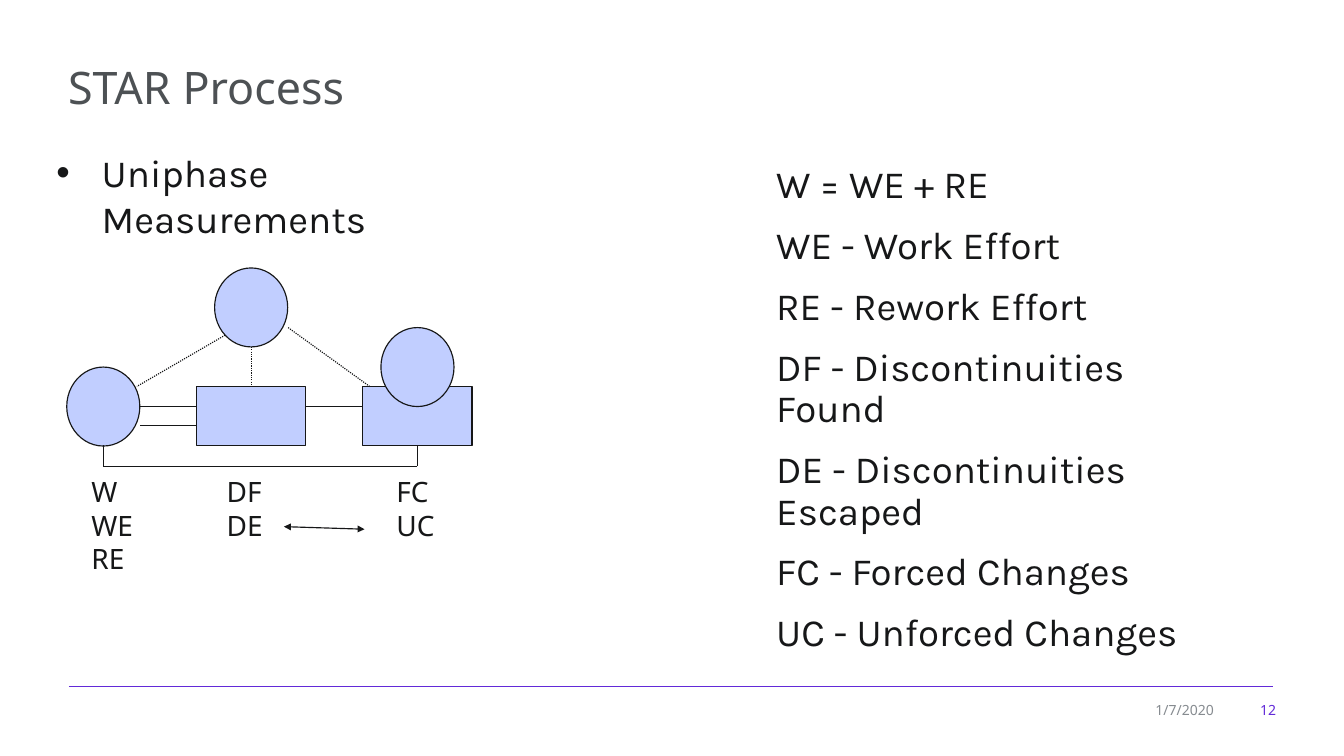
from dataclasses import dataclass

from lxml import etree
from pptx import Presentation
from pptx.dml.color import RGBColor
from pptx.enum.dml import MSO_LINE
from pptx.enum.shapes import MSO_CONNECTOR, MSO_SHAPE
from pptx.enum.text import MSO_ANCHOR, MSO_AUTO_SIZE, PP_ALIGN
from pptx.oxml.ns import qn
from pptx.util import Inches, Pt

STRAIGHT = MSO_CONNECTOR.STRAIGHT
OVAL, RECT = MSO_SHAPE.OVAL, MSO_SHAPE.RECTANGLE
DOTTED = MSO_LINE.ROUND_DOT
TOP, MIDDLE = MSO_ANCHOR.TOP, MSO_ANCHOR.MIDDLE
LEFT, RIGHT = PP_ALIGN.LEFT, PP_ALIGN.RIGHT
NO_FIT = MSO_AUTO_SIZE.NONE


@dataclass(frozen=True)
class Theme:
    ink: str = "161718"
    title: str = "4D5154"
    muted: str = "868B90"
    accent: str = "622AD8"
    node: str = "C1CEFF"
    sans: str = "Noto Sans"
    body: str = "Karla"
    title_size: float = 38.4
    body_size: float = 33
    label_size: float = 24
    footer_size: float = 12
    rule_width: float = 0.75
    line_width: float = 1


class SlideBuilder:
    def __init__(self, slide, theme):
        self.slide = slide
        self.theme = theme

    def place(self, sp, box):
        sp.left, sp.top, sp.width, sp.height = map(Inches, box)

    def set_text(self, sp, lines, font, size, color, anchor=TOP, align=LEFT, inset=0.05):
        tf = sp.text_frame
        tf.word_wrap = True
        tf.auto_size = NO_FIT
        tf.vertical_anchor = anchor
        tf.margin_left = tf.margin_right = Inches(0.1)
        tf.margin_top = tf.margin_bottom = Inches(inset)
        for i, line in enumerate(lines):
            p = tf.add_paragraph() if i else tf.paragraphs[0]
            p.alignment = align
            r = p.add_run()
            r.text = line
            r.font.name = font
            r.font.size = Pt(size)
            r.font.color.rgb = RGBColor.from_string(color)
        return tf.paragraphs

    def title(self, text, box):
        t = self.theme
        sp = self.slide.shapes.title
        self.place(sp, box)
        self.set_text(sp, [text], t.sans, t.title_size, t.title, MIDDLE, inset=0)

    def body(self, idx, lines, box, before, spacing=1.0, bullet=None, indent=0):
        t = self.theme
        sp = self.slide.placeholders[idx]
        self.place(sp, box)
        for p in self.set_text(sp, lines, t.body, t.body_size, t.ink):
            p.line_spacing = spacing
            p.space_before = Pt(before)
            pPr = p._p.get_or_add_pPr()
            pPr.set("marL", str(Inches(indent)))
            pPr.set("indent", str(-Inches(indent)))
            if bullet:
                etree.SubElement(pPr, qn("a:buChar")).set("char", bullet)
            else:
                etree.SubElement(pPr, qn("a:buNone"))

    def text(self, lines, box, size, color, **layout):
        sp = self.slide.shapes.add_textbox(*map(Inches, box))
        self.set_text(sp, lines, self.theme.sans, size, color, **layout)

    def node(self, kind, box):
        t = self.theme
        sp = self.slide.shapes.add_shape(kind, *map(Inches, box))
        sp.shadow.inherit = False
        sp.fill.solid()
        sp.fill.fore_color.rgb = RGBColor.from_string(t.node)
        sp.line.color.rgb = RGBColor.from_string(t.ink)
        sp.line.width = Pt(t.line_width)

    def line(self, start, end, color=None, width=None, dash=None, arrows=False):
        t = self.theme
        sp = self.slide.shapes.add_connector(STRAIGHT, *map(Inches, start + end))
        sp.line.color.rgb = RGBColor.from_string(color or t.ink)
        sp.line.width = Pt(width or t.line_width)
        if dash:
            sp.line.dash_style = dash
        spPr = sp._element.spPr
        if arrows:
            ln = spPr.find(qn("a:ln"))
            for tag in ("a:headEnd", "a:tailEnd"):
                etree.SubElement(ln, qn(tag)).set("type", "triangle")
        etree.SubElement(spPr, qn("a:effectLst"))


prs = Presentation()
prs.slide_width, prs.slide_height = Inches(16), Inches(9)
theme = Theme()
sb = SlideBuilder(prs.slides.add_slide(prs.slide_layouts[3]), theme)

sb.title("STAR Process", (0.71, 0.66, 14.59, 0.75))
sb.body(1, ["Uniphase Measurements"], (0.57, 1.72, 5.76, 1.25), 6.6,
        bullet="•", indent=0.54)
sb.body(2, [
    "W = WE + RE",
    "WE - Work Effort",
    "RE - Rework Effort",
    "DF - Discontinuities Found",
    "DE - Discontinuities Escaped",
    "FC - Forced Changes",
    "UC - Unforced Changes",
], (9.14, 1.92, 5.76, 5.87), 16.5, spacing=0.9)

sb.line((0.82, 8.17), (15.16, 8.17), theme.accent, theme.rule_width)
for label, left, width, color in (("1/7/2020", 13.41, 1.14, theme.muted),
                                  ("12", 14.68, 0.61, theme.accent)):
    sb.text([label], (left, 8.3, width, 0.31), theme.footer_size, color,
            anchor=MIDDLE, align=RIGHT)

box_top, box_w, box_h = 4.6, 1.3, 0.7
box_bottom = box_top + box_h
circle_w, circle_h = 0.87, 0.94
work_x, found_x, change_x = 1.23, 2.99, 4.97
upper_link, lower_link, bracket_y = 4.84, 5.07, 5.55
work_edge = work_x + circle_w / 2
found_left, found_right = found_x - box_w / 2, found_x + box_w / 2
change_left = change_x - box_w / 2

for x in (found_x, change_x):
    sb.node(RECT, (x - box_w / 2, box_top, box_w, box_h))
for x, top in ((work_x, 4.37), (found_x, 3.19), (change_x, 3.9)):
    sb.node(OVAL, (x - circle_w / 2, top, circle_w, circle_h))

for y in (upper_link, lower_link):
    sb.line((found_left, y), (work_edge, y))
sb.line((found_right, upper_link), (change_left, upper_link))

sb.line((work_x, bracket_y), (change_x, bracket_y))
for x in (work_x, change_x):
    sb.line((x, bracket_y), (x, box_bottom))

for start, end in (((found_x, 4.13), (found_x, box_top)),
                   ((2.68, 3.99), (1.63, box_top)),
                   ((3.43, 3.9), (4.4, box_top))):
    sb.line(start, end, dash=DOTTED)

for lines, left, width in ((["W", "WE", "RE"], 0.99, 0.85),
                           (["DF", "DE"], 2.6, 1.51),
                           (["FC", "UC"], 4.62, 0.75)):
    sb.text(lines, (left, 5.6, width, 0.1 + 0.4 * len(lines)),
            theme.label_size, theme.ink)
sb.line((3.38, 6.27), (4.34, 6.3), arrows=True)

prs.save("out.pptx")
